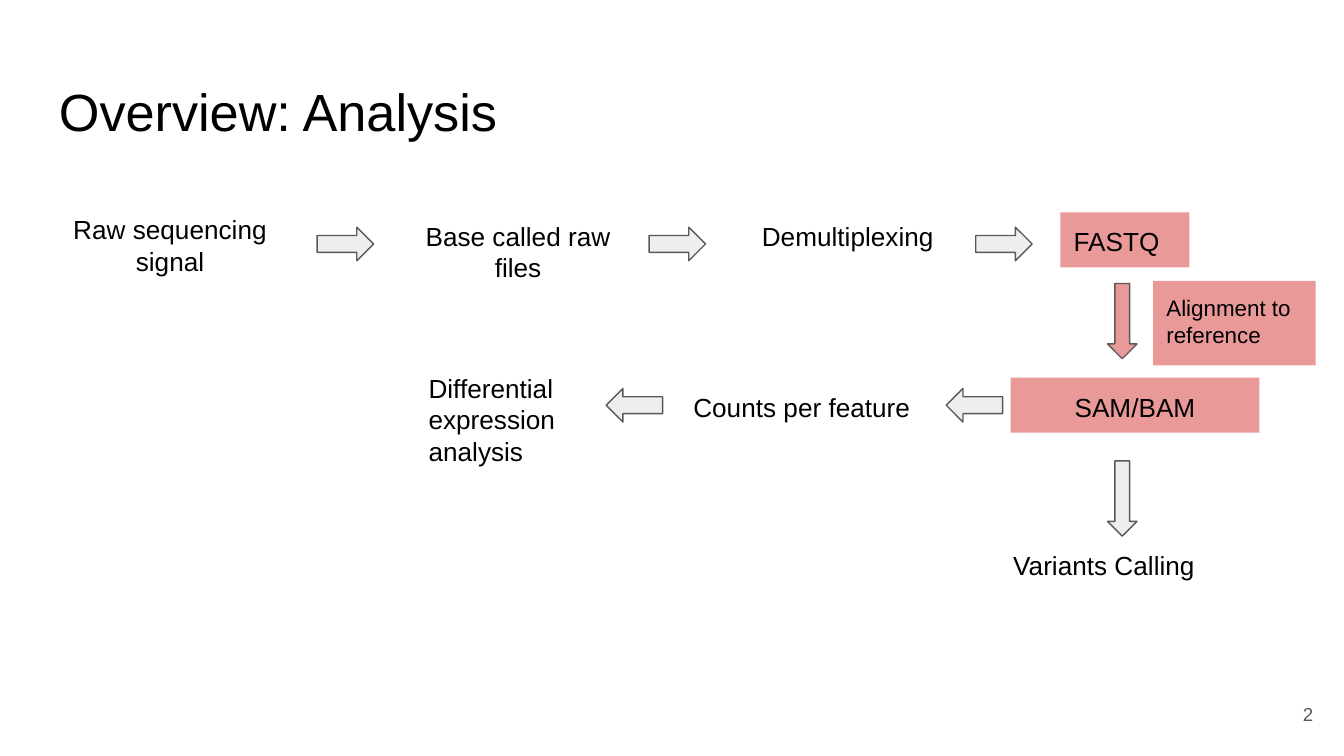
from pptx import Presentation
from pptx import util as u
from pptx.dml.color import RGBColor
from pptx.enum import shapes, text

PX = 9144  # EMU per px, 100 px to the inch
COLORS = {"ink": "000000", "muted": "595959", "grey": "EEEEEE", "pink": "EA9999"}
ALIGN = text.PP_ALIGN
SHAPE = shapes.MSO_SHAPE


def px(*values):
    return [u.Emu(v * PX) for v in values]


def color(name):
    return RGBColor.from_string(COLORS[name])


def write(sp, words, size=14, ink="ink", align=ALIGN.LEFT, anchor=text.MSO_ANCHOR.TOP):
    tf = sp.text_frame
    tf.word_wrap = True
    tf.vertical_anchor = anchor
    tf.margin_left = tf.margin_right = tf.margin_top = tf.margin_bottom = u.Inches(0.1)
    p = tf.paragraphs[0]
    p.alignment = align
    r = p.add_run()
    r.text = words
    r.font.name = "Arial"
    r.font.size = u.Pt(size)
    r.font.color.rgb = color(ink)


def add_label(s, box, words, **fmt):
    write(s.shapes.add_textbox(*px(*box)), words, **fmt)


def add_block(s, kind, box, fill, line=None):
    sp = s.shapes.add_shape(kind, *px(*box))
    sp.shadow.inherit = False
    sp.fill.solid()
    sp.fill.fore_color.rgb = color(fill)
    if line:
        sp.line.color.rgb = color(line)
        sp.line.width = u.Pt(0.75)
    else:
        sp.line.fill.background()
    return sp


def add_step(s, box, words, **fmt):
    """Highlighted step: text on a pink rectangle."""
    write(add_block(s, SHAPE.RECTANGLE, box, "pink"), words, **fmt)


def add_arrow(s, kind, left, top, fill="grey"):
    size = (22, 56) if kind == SHAPE.DOWN_ARROW else (42, 25)
    add_block(s, kind, (left, top, *size), fill, line="muted")


def main():
    prs = Presentation()
    prs.slide_width = u.Inches(10)
    prs.slide_height = prs.slide_width * 9 // 16
    s = prs.slides.add_slide(prs.slide_layouts[6])

    add_label(s, (34, 49, 932, 63), "Overview: Analysis", size=28)

    add_label(s, (34, 149, 185, 45), "Raw sequencing signal", align=ALIGN.CENTER)
    add_label(s, (293, 154, 185, 45), "Base called raw files", align=ALIGN.CENTER)
    add_label(s, (557, 154, 148, 45), "Demultiplexing")
    add_step(s, (789, 158, 96, 41), "FASTQ")
    add_step(s, (752, 281, 185, 41), "SAM/BAM", align=ALIGN.CENTER)
    add_label(s, (506, 281, 185, 41), "Counts per feature")
    add_label(s, (744, 399, 185, 41), "Variants Calling")
    add_label(s, (309, 267, 121, 91), "Differential expression analysis")

    for left in (236, 483, 726):
        add_arrow(s, SHAPE.RIGHT_ARROW, left, 169)
    for top, fill in ((211, "pink"), (343, "grey")):
        add_arrow(s, SHAPE.DOWN_ARROW, 824, top, fill)
    for left in (704, 451):
        add_arrow(s, SHAPE.LEFT_ARROW, left, 289)

    add_step(s, (858, 209, 121, 63), "Alignment to reference", size=12)
    add_label(s, (927, 510, 60, 43), "2", size=10, ink="muted",
              align=ALIGN.RIGHT, anchor=text.MSO_ANCHOR.MIDDLE)

    prs.save("out.pptx")


if __name__ == "__main__":
    main()
